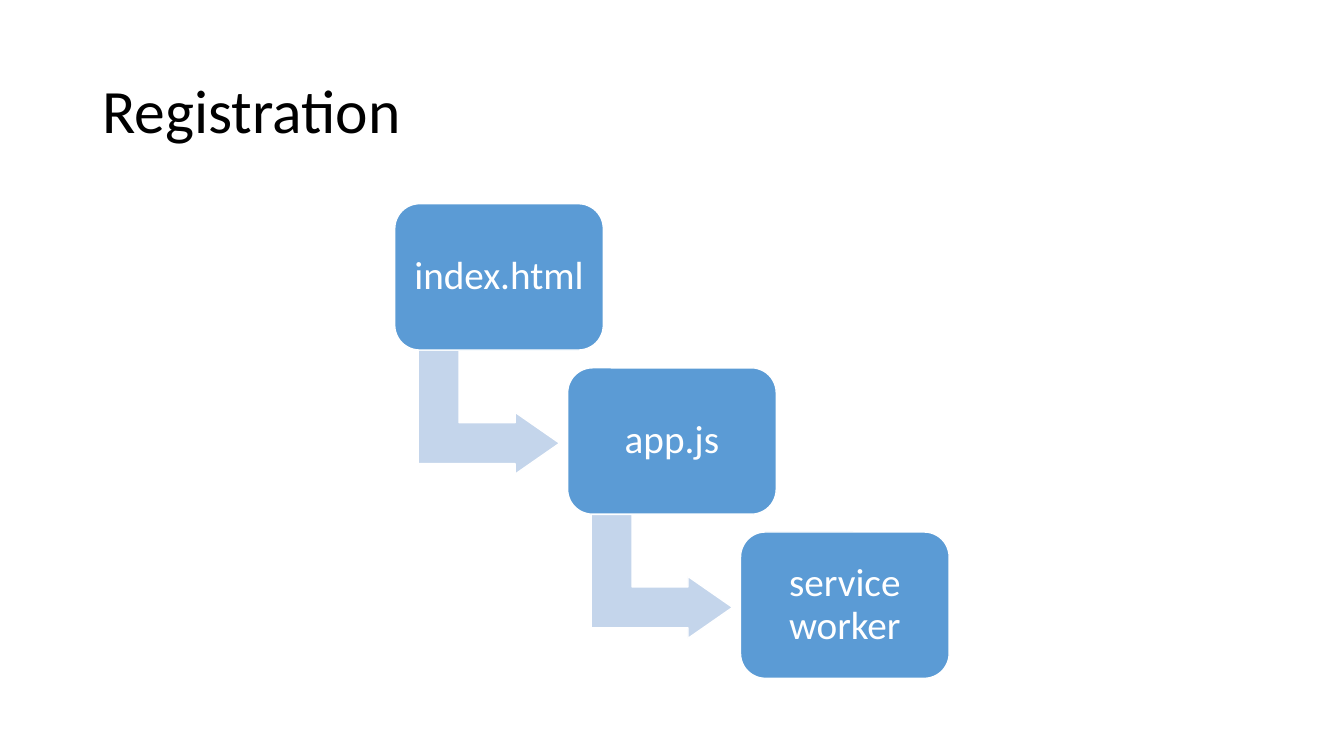
"""Build the Registration slide: three steps joined by bent arrows."""
from pptx import Presentation
from pptx.dml.color import RGBColor
from pptx.enum.shapes import MSO_SHAPE
from pptx.enum.text import MSO_ANCHOR, PP_ALIGN
from pptx.util import Pt

ROUNDED = MSO_SHAPE.ROUNDED_RECTANGLE
BENT_ARROW = MSO_SHAPE.BENT_UP_ARROW
MIDDLE = MSO_ANCHOR.MIDDLE
LEFT, CENTER = PP_ALIGN.LEFT, PP_ALIGN.CENTER

STEPS = ["index.html", "app.js", "service worker"]
FIRST_LEFT, FIRST_TOP = 282, 145.5
STEP_RIGHT, STEP_DOWN = 123.5, 117.25
BOX_WIDTH, BOX_HEIGHT = 149, 104.5
ARROW_RIGHT, ARROW_DOWN = 23, 98.5
ARROW_WIDTH, ARROW_HEIGHT = 88.5, 101


def color(value):
    """Turn a hex string into a colour."""
    return RGBColor.from_string(value)


def write(frame, text, size, ink, align):
    """Write one vertically centred paragraph."""
    frame.word_wrap = True
    frame.vertical_anchor = MIDDLE
    paragraph = frame.paragraphs[0]
    paragraph.text = text
    paragraph.alignment = align
    paragraph.line_spacing = 0.9
    paragraph.font.name = "Calibri"
    paragraph.font.size = Pt(size)
    paragraph.font.color.rgb = color(ink)


def add_title(slide, text):
    """Add the slide title."""
    title = slide.shapes.add_textbox(Pt(66), Pt(29), Pt(828), Pt(104))
    write(title.text_frame, text, 44, "000000", LEFT)


def add_block(slide, kind, left, top, width, height, fill, adjustments):
    """Add a filled shape with a thin white outline."""
    block = slide.shapes.add_shape(kind, Pt(left), Pt(top), Pt(width), Pt(height))
    block.shadow.inherit = False
    block.fill.solid()
    block.fill.fore_color.rgb = color(fill)
    block.line.color.rgb = color("FFFFFF")
    block.line.width = Pt(1)
    for index, value in enumerate(adjustments):
        block.adjustments[index] = value
    return block


def add_arrow(slide, left, top):
    """Add the arrow that leads from a step to the next one."""
    arrow = add_block(slide, BENT_ARROW, left + ARROW_RIGHT, top + ARROW_DOWN,
                      ARROW_WIDTH, ARROW_HEIGHT, "C4D5EB", [0.33, 0.25, 0.36])
    arrow.rotation = 90


def add_step(slide, left, top, label):
    """Add a rounded box with its label."""
    step = add_block(slide, ROUNDED, left, top, BOX_WIDTH, BOX_HEIGHT,
                     "5B9BD5", [0.17])
    frame = step.text_frame
    frame.margin_left = frame.margin_right = Pt(8)
    frame.margin_top = frame.margin_bottom = Pt(8)
    write(frame, label, 28, "FFFFFF", CENTER)


def main():
    """Build and save the slide."""
    deck = Presentation()
    deck.slide_width, deck.slide_height = Pt(960), Pt(540)
    slide = deck.slides.add_slide(deck.slide_layouts[6])
    add_title(slide, "Registration")
    for index, label in enumerate(STEPS):
        left = FIRST_LEFT + index * STEP_RIGHT
        top = FIRST_TOP + index * STEP_DOWN
        if index < len(STEPS) - 1:
            add_arrow(slide, left, top)
        add_step(slide, left, top, label)
    deck.save("out.pptx")


if __name__ == "__main__":
    main()
